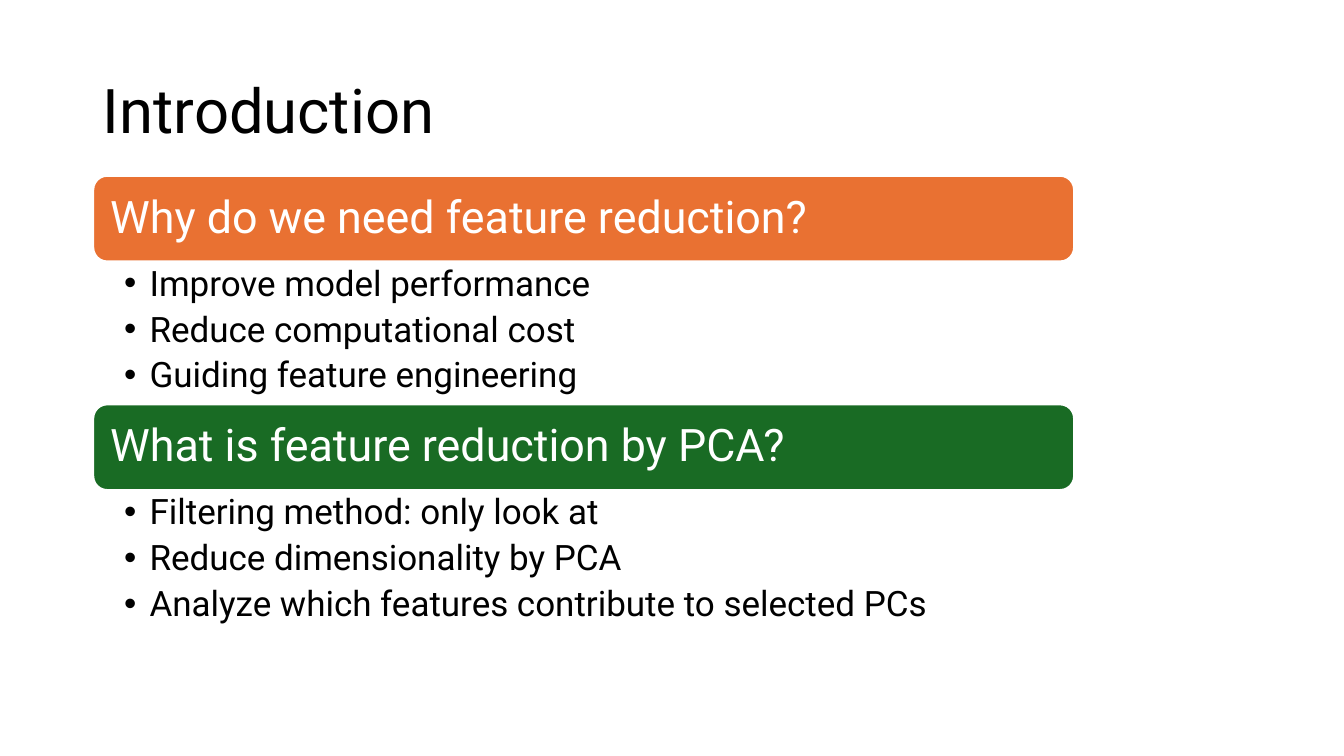
from lxml import etree
from pptx import Presentation
from pptx.dml.color import RGBColor
from pptx.enum import shapes, text
from pptx.oxml.ns import qn
from pptx.util import Cm, Pt

LEFT, WIDTH = 2.34, 24.74
TOP, BAR, LIST = 4.42, 2.18, 3.58

TOPICS = [
    ("Why do we need feature reduction?", "E97132", [
        "Improve model performance",
        "Reduce computational cost",
        "Guiding feature engineering",
    ]),
    ("What is feature reduction by PCA?", "196B24", [
        "Filtering method: only look at",
        "Reduce dimensionality by PCA",
        "Analyze which features contribute to selected PCs",
    ]),
]


def color(code):
    return RGBColor.from_string(code)


def style(par, size, code):
    par.alignment = text.PP_ALIGN.LEFT
    par.line_spacing = 0.9
    par.font.name = "Roboto"
    par.font.size = Pt(size)
    par.font.color.rgb = color(code)


def inset(frame, left, top, right, bottom):
    frame.word_wrap = True
    frame.margin_left, frame.margin_top = Cm(left), Cm(top)
    frame.margin_right, frame.margin_bottom = Cm(right), Cm(bottom)


def bullet(par):
    props = par._p.get_or_add_pPr()
    props.set("marL", str(Cm(0.64)))
    props.set("indent", str(-Cm(0.64)))
    etree.SubElement(props, qn("a:buFont")).set("typeface", "Arial")
    etree.SubElement(props, qn("a:buChar")).set("char", "•")


def add_title(slide, words):
    title = slide.shapes.title
    title.left, title.top = Cm(LEFT), Cm(1.02)
    title.width, title.height = Cm(29.21), Cm(3.68)
    frame = title.text_frame
    frame.text = words
    frame.auto_size = text.MSO_AUTO_SIZE.NONE
    frame.vertical_anchor = text.MSO_ANCHOR.MIDDLE
    style(frame.paragraphs[0], 44, "000000")


def add_bar(slide, top, words, fill):
    bar = slide.shapes.add_shape(
        shapes.MSO_SHAPE.ROUNDED_RECTANGLE,
        Cm(LEFT), Cm(top), Cm(WIDTH), Cm(BAR))
    bar.shadow.inherit = False
    bar.fill.solid()
    bar.fill.fore_color.rgb = color(fill)
    bar.line.color.rgb = color("FFFFFF")
    bar.line.width = Pt(2)
    frame = bar.text_frame
    frame.text = words
    frame.vertical_anchor = text.MSO_ANCHOR.MIDDLE
    inset(frame, 0.33, 0.33, 0.33, 0.33)
    style(frame.paragraphs[0], 32, "FFFFFF")


def add_list(slide, top, items):
    box = slide.shapes.add_textbox(Cm(LEFT), Cm(top), Cm(WIDTH), Cm(LIST))
    frame = box.text_frame
    frame.text = "\n".join(items)
    inset(frame, 0.79, 0.1, 0.64, 0.1)
    for par in frame.paragraphs:
        bullet(par)
        par.level = 1
        par.space_after = Pt(5.8)
        style(par, 25, "000000")


def main():
    deck = Presentation()
    deck.slide_width, deck.slide_height = Cm(33.87), Cm(19.05)
    slide = deck.slides.add_slide(deck.slide_layouts[5])
    add_title(slide, "Introduction")

    # Each topic is a coloured bar with its list below
    for i, (head, fill, items) in enumerate(TOPICS):
        top = TOP + i * (BAR + LIST)
        add_bar(slide, top, head, fill)
        add_list(slide, top + BAR, items)

    deck.save("out.pptx")


if __name__ == "__main__":
    main()
